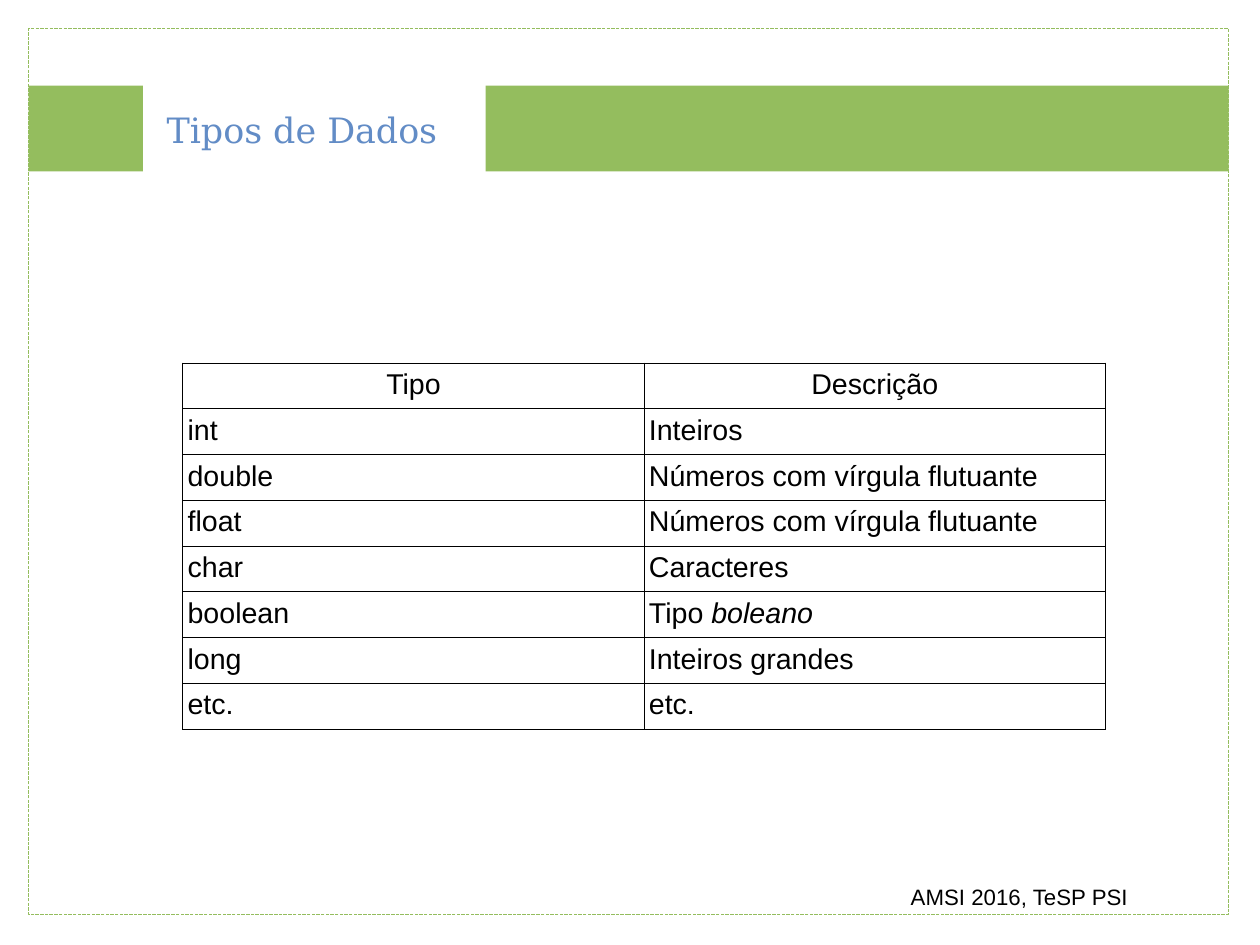
from dataclasses import dataclass

from lxml.etree import SubElement
from pptx import Presentation
from pptx.dml.color import RGBColor
from pptx.enum.dml import MSO_LINE
from pptx.enum.shapes import MSO_SHAPE
from pptx.enum.text import MSO_AUTO_SIZE, PP_ALIGN
from pptx.oxml.ns import qn
from pptx.shapes.autoshape import Shape
from pptx.slide import Slide
from pptx.table import _Cell as Cell
from pptx.util import Pt

GREEN = RGBColor(0x94, 0xBD, 0x5E)
BLUE = RGBColor(0x62, 0x8C, 0xC6)
BLACK = RGBColor(0, 0, 0)

SLIDE_WIDTH = 793.7
SLIDE_HEIGHT = 595.28
ROW_HEIGHT = 28.8
COLUMN_WIDTH = 290.6
BORDER_WIDTH = 0.57


@dataclass(frozen=True)
class Box:
    left: float
    top: float
    width: float
    height: float

    def lengths(self) -> tuple[Pt, Pt, Pt, Pt]:
        return Pt(self.left), Pt(self.top), Pt(self.width), Pt(self.height)


@dataclass(frozen=True)
class Label:
    text: str
    box: Box
    font: str
    size: float
    color: RGBColor
    wrap: bool


@dataclass(frozen=True)
class DataType:
    name: str
    description: str
    italic_ending: str = ""


FRAME = Box(18, 18, 756, 558)
BANDS = [Box(306, 54, 468, 54), Box(18, 54, 72, 54)]
LABELS = [
    Label("Tipos de Dados", Box(97.9, 64.8, 185, 32.4), "DejaVu Serif", 22, BLUE, False),
    Label("AMSI 2016, TeSP PSI", Box(566.6, 553, 212.4, 23), "Arial", 14, BLACK, True),
]
HEADINGS = DataType("Tipo", "Descrição")
DATA_TYPES = [
    DataType("int", "Inteiros"),
    DataType("double", "Números com vírgula flutuante"),
    DataType("float", "Números com vírgula flutuante"),
    DataType("char", "Caracteres"),
    DataType("boolean", "Tipo ", "boleano"),
    DataType("long", "Inteiros grandes"),
    DataType("etc.", "etc."),
]


def add_rectangle(slide: Slide, box: Box) -> Shape:
    shape = slide.shapes.add_shape(MSO_SHAPE.RECTANGLE, *box.lengths())
    shape.shadow.inherit = False
    return shape


def add_band(slide: Slide, box: Box) -> None:
    band = add_rectangle(slide, box)
    band.fill.solid()
    band.fill.fore_color.rgb = GREEN
    band.line.fill.background()


def add_frame(slide: Slide, box: Box) -> None:
    frame = add_rectangle(slide, box)
    frame.fill.background()
    frame.line.color.rgb = GREEN
    frame.line.width = Pt(0)
    frame.line.dash_style = MSO_LINE.SQUARE_DOT


def add_label(slide: Slide, label: Label) -> None:
    text_frame = slide.shapes.add_textbox(*label.box.lengths()).text_frame
    text_frame.word_wrap = label.wrap
    text_frame.auto_size = MSO_AUTO_SIZE.SHAPE_TO_FIT_TEXT
    paragraph = text_frame.paragraphs[0]
    paragraph.text = label.text
    paragraph.font.name = label.font
    paragraph.font.size = Pt(label.size)
    paragraph.font.color.rgb = label.color


def add_borders(cell: Cell) -> None:
    """Line all four sides; borders must precede the fill in the cell properties."""
    properties = cell._tc.get_or_add_tcPr()
    for side in ("a:lnL", "a:lnR", "a:lnT", "a:lnB"):
        line = SubElement(properties, qn(side), w=str(Pt(BORDER_WIDTH)))
        fill = SubElement(line, qn("a:solidFill"))
        SubElement(fill, qn("a:srgbClr"), val=str(BLACK))


def fill_cell(cell: Cell, text: str, italic_ending: str, alignment: PP_ALIGN) -> None:
    cell.margin_left = cell.margin_right = Pt(3)
    cell.margin_top = cell.margin_bottom = Pt(3.6)
    add_borders(cell)
    cell.fill.background()
    paragraph = cell.text_frame.paragraphs[0]
    paragraph.alignment = alignment
    paragraph.font.name = "Arial"
    paragraph.font.size = Pt(18)
    paragraph.font.color.rgb = BLACK
    paragraph.add_run().text = text
    if italic_ending:
        ending = paragraph.add_run()
        ending.text = italic_ending
        ending.font.italic = True


def add_type_table(slide: Slide, left: float, top: float) -> None:
    entries = [HEADINGS, *DATA_TYPES]
    box = Box(left, top, 2 * COLUMN_WIDTH, len(entries) * ROW_HEIGHT)
    table = slide.shapes.add_table(len(entries), 2, *box.lengths()).table
    table.first_row = table.horz_banding = False
    for index, entry in enumerate(entries):
        alignment = PP_ALIGN.CENTER if entry is HEADINGS else PP_ALIGN.LEFT
        fill_cell(table.cell(index, 0), entry.name, "", alignment)
        fill_cell(table.cell(index, 1), entry.description, entry.italic_ending, alignment)


def main() -> None:
    presentation = Presentation()
    presentation.slide_width = Pt(SLIDE_WIDTH)
    presentation.slide_height = Pt(SLIDE_HEIGHT)
    slide = presentation.slides.add_slide(presentation.slide_layouts[6])
    for band in BANDS:
        add_band(slide, band)
    add_frame(slide, FRAME)
    for label in LABELS:
        add_label(slide, label)
    add_type_table(slide, 115.2, 228.6)
    presentation.save("out.pptx")


if __name__ == "__main__":
    main()
